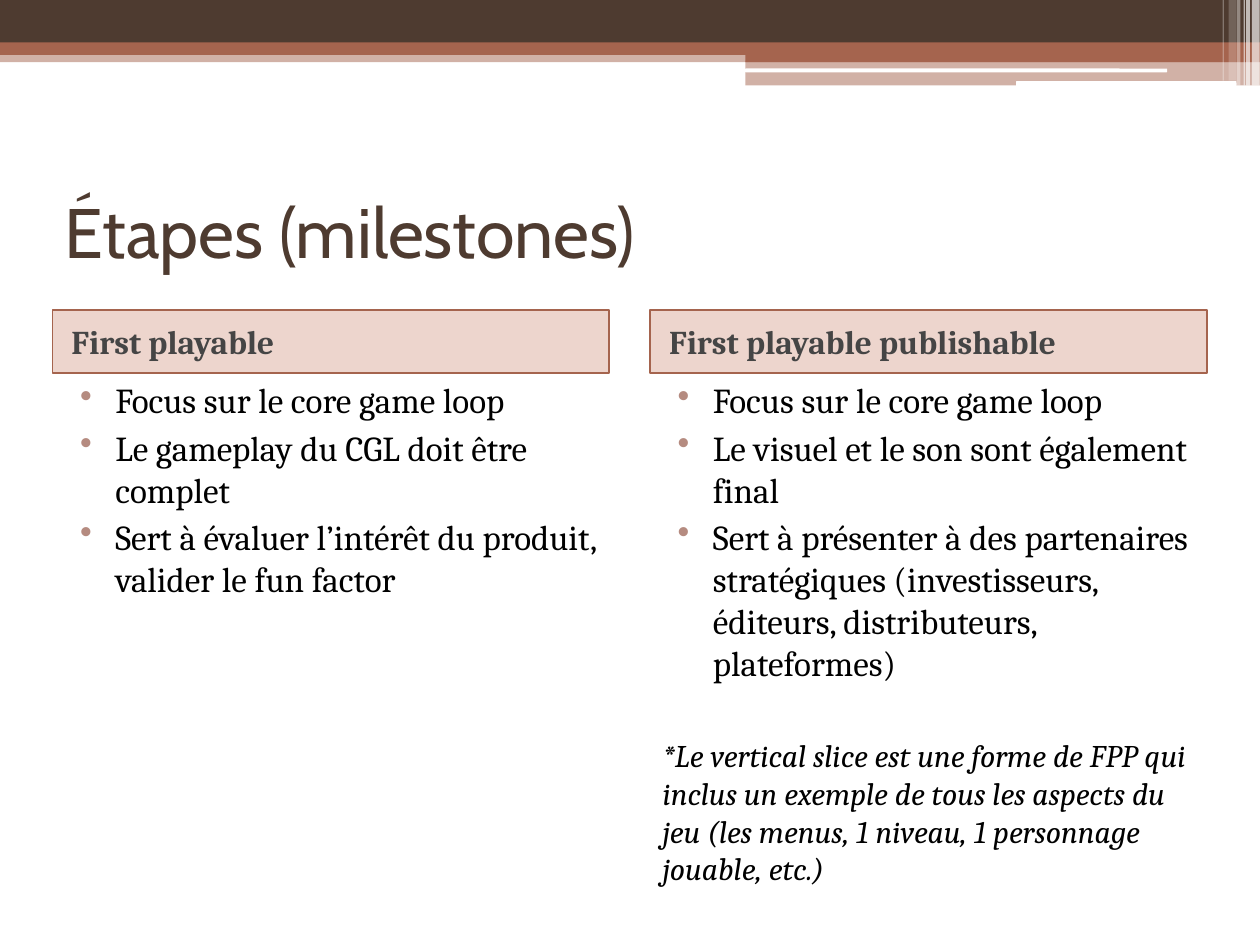
from dataclasses import dataclass
from typing import NamedTuple

from pptx import Presentation
from pptx.dml.color import RGBColor
from pptx.enum.shapes import MSO_SHAPE
from pptx.enum.text import MSO_ANCHOR, PP_ALIGN
from pptx.oxml.ns import qn
from pptx.util import Pt
from lxml.etree import SubElement


@dataclass(frozen=True)
class Theme:
    brown: str = "4E3B30"
    rust: str = "A5644E"
    header_fill: str = "BB5938"
    header_text: str = "454545"
    bullet: str = "B58B80"
    black: str = "000000"
    white: str = "FFFFFF"
    heading_font: str = "Cabin"
    body_font: str = "Cambria"
    title_size: int = 40
    header_size: int = 19
    body_size: int = 20
    note_size: int = 18


THEME = Theme()


class Bar(NamedTuple):
    left: float
    top: float
    width: float
    height: float
    color: str
    opacity: int = 100
    rounded: bool = False


class Column(NamedTuple):
    left: float
    header: str
    bullets: list[str]
    note: str = ""


class Stripe(NamedTuple):
    left: float
    width: float
    height: float
    opacity: int


SLIDE_WIDTH, SLIDE_HEIGHT = 720, 540
BAND_LEFT = 426
COLUMN_WIDTH = 318.24
HEADER_TOP, HEADER_HEIGHT = 177, 36
BODY_TOP, BODY_HEIGHT = HEADER_TOP + HEADER_HEIGHT, 306
BULLET_INDENT, BULLET_HANG = 28.8, 20.16
PARAGRAPH_GAP, NOTE_GAP = 3, 30

BANDS = [
    Bar(0, 28.88, SLIDE_WIDTH, 6.65, THEME.rust, 50),
    Bar(0, 0, SLIDE_WIDTH, 24.46, THEME.brown),
    Bar(0, 24.27, SLIDE_WIDTH, 7.2, THEME.rust),
    Bar(BAND_LEFT, 28.37, SLIDE_WIDTH - BAND_LEFT, 7.17, THEME.rust),
    Bar(BAND_LEFT, 34.65, SLIDE_WIDTH - BAND_LEFT, 14.18, THEME.rust, 50),
    Bar(425.78, 39.17, 241.2, 2.16, THEME.white, rounded=True),
    Bar(580.6, 46.37, 126, 2.88, THEME.white, rounded=True),
]
STRIPES = [
    Stripe(715.35, 4.54, 48.96, 65),
    Stripe(712.16, 2.16, 48.96, 65),
    Stripe(710.66, 0.72, 48.96, 60),
    Stripe(706.73, 2.16, 48.96, 40),
    Stripe(702.02, 4.32, 46.08, 20),
    Stripe(698.7, 0.72, 46.08, 30),
]
COLUMNS = [
    Column(30, "First playable", [
        "Focus sur le core game loop",
        "Le gameplay du CGL doit être complet",
        "Sert à évaluer l’intérêt du produit, valider le fun factor",
    ]),
    Column(371.52, "First playable publishable", [
        "Focus sur le core game loop",
        "Le visuel et le son sont également final",
        "Sert à présenter à des partenaires stratégiques "
        "(investisseurs, éditeurs, distributeurs, plateformes)",
    ], "*Le vertical slice est une forme de FPP qui inclus un exemple de tous "
       "les aspects du jeu (les menus, 1 niveau, 1 personnage jouable, etc.)"),
]


def draw_bar(page, bar: Bar):
    kind = MSO_SHAPE.ROUNDED_RECTANGLE if bar.rounded else MSO_SHAPE.RECTANGLE
    shape = page.shapes.add_shape(kind, *map(Pt, bar[:4]))
    shape.shadow.inherit = False
    shape.line.fill.background()
    shape.fill.solid()
    shape.fill.fore_color.rgb = RGBColor.from_string(bar.color)
    if bar.opacity < 100:
        color = shape.fill._xPr.find(qn("a:solidFill"))[0]
        SubElement(color, qn("a:alpha"), val=str(bar.opacity * 1000))
    return shape


def add_text_box(page, left: float, top: float, width: float, height: float):
    box = page.shapes.add_textbox(*map(Pt, (left, top, width, height)))
    box.text_frame.word_wrap = True
    return box


def write(para, text: str, color: str, **font_format) -> None:
    span = para.add_run()
    span.text = text
    span.font.color.rgb = RGBColor.from_string(color)
    for name, value in font_format.items():
        setattr(span.font, name, value)


def set_bullet(para) -> None:
    properties = para._p.get_or_add_pPr()
    properties.set("marL", str(Pt(BULLET_INDENT)))
    properties.set("indent", str(-Pt(BULLET_HANG)))
    color = SubElement(properties, qn("a:buClr"))
    SubElement(color, qn("a:srgbClr"), val=THEME.bullet)
    SubElement(properties, qn("a:buChar"), char="•")


def draw_header(page, column: Column) -> None:
    box = draw_bar(page, Bar(column.left, HEADER_TOP, COLUMN_WIDTH, HEADER_HEIGHT,
                             THEME.header_fill, 25))
    box.line.color.rgb = RGBColor.from_string(THEME.rust)
    box.line.width = Pt(1)
    frame = box.text_frame
    frame.word_wrap = True
    frame.vertical_anchor = MSO_ANCHOR.MIDDLE
    frame.margin_left = Pt(10.8)
    para = frame.paragraphs[0]
    para.alignment = PP_ALIGN.LEFT
    write(para, column.header, THEME.header_text, name=THEME.body_font,
          size=Pt(THEME.header_size), bold=True)


def draw_body(page, column: Column) -> None:
    frame = add_text_box(page, column.left, BODY_TOP, COLUMN_WIDTH, BODY_HEIGHT).text_frame
    for index, text in enumerate(column.bullets):
        para = frame.add_paragraph() if index else frame.paragraphs[0]
        if index:
            para.space_before = Pt(PARAGRAPH_GAP)
        set_bullet(para)
        write(para, text, THEME.black, name=THEME.body_font, size=Pt(THEME.body_size))
    if column.note:
        para = frame.add_paragraph()
        para.space_before = Pt(NOTE_GAP)
        write(para, column.note, THEME.black, name=THEME.body_font,
              size=Pt(THEME.note_size), italic=True)


def draw_title(page, text: str) -> None:
    frame = add_text_box(page, 30, 90, 660, 84).text_frame
    frame.vertical_anchor = MSO_ANCHOR.MIDDLE
    write(frame.paragraphs[0], text, THEME.brown, name=THEME.heading_font,
          size=Pt(THEME.title_size))


def main() -> None:
    deck = Presentation()
    deck.slide_width, deck.slide_height = Pt(SLIDE_WIDTH), Pt(SLIDE_HEIGHT)
    page = deck.slides.add_slide(deck.slide_layouts[6])
    for band in BANDS:
        draw_bar(page, band)
    for stripe in STRIPES:
        draw_bar(page, Bar(stripe.left, 0, stripe.width, stripe.height,
                           THEME.white, stripe.opacity))
    draw_title(page, "Étapes (milestones)")
    for column in COLUMNS:
        draw_header(page, column)
        draw_body(page, column)
    deck.save("out.pptx")


if __name__ == "__main__":
    main()
